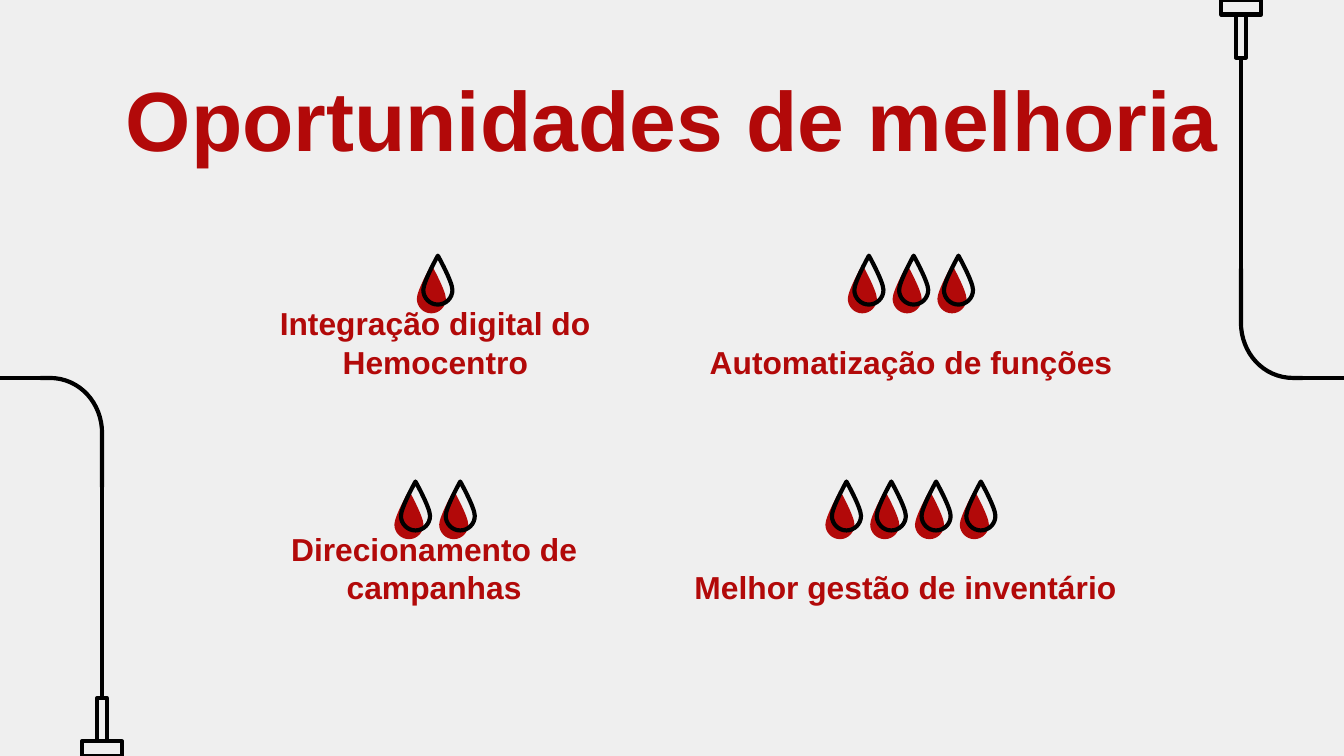
import pptx
import pptx.dml.color
import pptx.enum.shapes
import pptx.enum.text
import pptx.oxml
import pptx.oxml.ns
import pptx.util

Pt = pptx.util.Pt
COLORS = {"paper": "EFEFEF", "blood": "B20909", "ink": "000000"}
WIDTH, HEIGHT = 720, 405
STROKE = 2.25
FRAME = {"word_wrap": True, "margin_left": Pt(7.2), "margin_right": Pt(7.2),
         "margin_top": Pt(7.2), "margin_bottom": Pt(7.2),
         "auto_size": pptx.enum.text.MSO_AUTO_SIZE.NONE}
FONT = {"name": "Arial", "bold": True}


def rgb(key):
    return pptx.dml.color.RGBColor.from_string(COLORS[key])


def element(tag):
    return pptx.oxml.parse_xml("<a:%s %s/>" % (tag, pptx.oxml.ns.nsdecls("a")))


class SlideArtist:
    def __init__(self, slide):
        self.slide = slide
        self.shapes = slide.shapes
        slide.background.fill.solid()
        slide.background.fill.fore_color.rgb = rgb("paper")

    def stroke(self, shape):
        shape.line.width = Pt(STROKE)
        shape.line.color.rgb = rgb("ink")
        shape.line._get_or_add_ln().append(element("round"))

    def paint(self, shape, fill=None):
        shape.shadow.inherit = False
        if fill:
            shape.fill.solid()
            shape.fill.fore_color.rgb = rgb(fill)
            shape.line.fill.background()
        else:
            shape.fill.background()
            self.stroke(shape)

    def outline(self, points, curves, fill=None, close=True):
        """Freeform; curves lists the segments that begin a cubic curve."""
        start, *rest = [(Pt(x), Pt(y)) for x, y in points]
        builder = self.shapes.build_freeform(*start, scale=1.0)
        builder.add_line_segments(rest, close=close)
        form = builder.convert_to_shape()
        segments = form._element.xpath(".//a:lnTo")
        for first in curves:
            cubic = element("cubicBezTo")
            segments[first].addprevious(cubic)
            for segment in segments[first:first + 3]:
                cubic.append(segment[0])
                segment.getparent().remove(segment)
        self.paint(form, fill)

    def box(self, corner, opposite):
        (x1, y1), (x2, y2) = corner, opposite
        self.paint(self.shapes.add_shape(
            pptx.enum.shapes.MSO_SHAPE.RECTANGLE, Pt(min(x1, x2)), Pt(min(y1, y2)),
            Pt(abs(x2 - x1)), Pt(abs(y2 - y1))))

    def line(self, start, end):
        connector = self.shapes.add_connector(
            pptx.enum.shapes.MSO_CONNECTOR.STRAIGHT, *(Pt(v) for v in (*start, *end)))
        self.stroke(connector)
        connector._element.spPr.append(element("effectLst"))

    def text(self, shape, wording, size, anchor):
        frame = shape.text_frame
        for key, value in FRAME.items():
            setattr(frame, key, value)
        frame.vertical_anchor = anchor
        paragraph = frame.paragraphs[0]
        paragraph.alignment = pptx.enum.text.PP_ALIGN.CENTER
        run = paragraph.add_run()
        run.text = wording
        for key, value in FONT.items():
            setattr(run.font, key, value)
        run.font.size = Pt(size)
        run.font.color.rgb = rgb("blood")

    def title(self, wording, left, top, width, height):
        heading = self.shapes.title
        for key, value in dict(left=left, top=top, width=width, height=height).items():
            setattr(heading, key, Pt(value))
        self.text(heading, wording, 45, pptx.enum.text.MSO_ANCHOR.TOP)

    def label(self, wording, *area):
        caption = self.shapes.add_textbox(*(Pt(v) for v in area))
        self.text(caption, wording, 17, pptx.enum.text.MSO_ANCHOR.BOTTOM)

    def drop(self, x, top, fill=None):
        left_half = [(0, 0), (0, 0), (-7.8, 14), (-7.8, 18.4), (-7.8, 22.7), (-4.3, 26.2)]
        right_half = [(-dx, dy) for dx, dy in reversed(left_half)]
        offsets = left_half + [(0, 26.2)] + right_half
        self.outline([(x + dx, top + dy) for dx, dy in offsets], range(0, 12, 3), fill)

    def drop_row(self, count, center, top, fill=None):
        for index in range(count):
            self.drop(center + 24 * (index - (count - 1) / 2), top, fill)

    def tube(self, place):
        """Drip tube given at the top right; place maps each point."""
        self.box(place(654.2, 0), place(675.6, 7.8))
        self.box(place(662.3, 7.8), place(667.4, 31))
        bend = [(664.8, 144), (664.8, 172.8), (664.8, 189.2), (676.9, 202.5),
                (692.8, 202.5), (697.8, 202.5)]
        self.outline([place(*point) for point in bend], [1], close=False)
        self.line(place(695, 202.5), place(730, 202.5))
        self.line(place(664.8, 147), place(664.8, 30.5))


def main():
    deck = pptx.Presentation()
    deck.slide_width, deck.slide_height = Pt(WIDTH), Pt(HEIGHT)
    artist = SlideArtist(deck.slides.add_slide(deck.slide_layouts[5]))

    # Tubes: the left one is the right one turned half round
    artist.tube(lambda x, y: (WIDTH - 0.5 - x, HEIGHT - y))
    artist.tube(lambda x, y: (x, y))

    artist.title("Oportunidades de melhoria", 56.2, 28.8, 607.6, 64.8)

    # Opportunities: column, row, number of drops, wording
    opportunities = [
        (0, 0, 1, "Integração digital do Hemocentro"),
        (1, 0, 3, "Automatização de funções"),
        (0, 1, 2, "Direcionamento de campanhas"),
        (1, 1, 4, "Melhor gestão de inventário "),
    ]
    for column, row, count, wording in opportunities:
        center, top = 234.6 + 254.9 * column, 137 + 121 * row
        artist.label(wording, 105.8 + 254.9 * column - 0.6 * row, 175.7 + 121 * row, 254.9, 35.3)
        artist.drop_row(count, center - 3.5, top + 4.7, "blood")
        artist.drop_row(count, center, top)

    deck.save("out.pptx")


if __name__ == "__main__":
    main()
